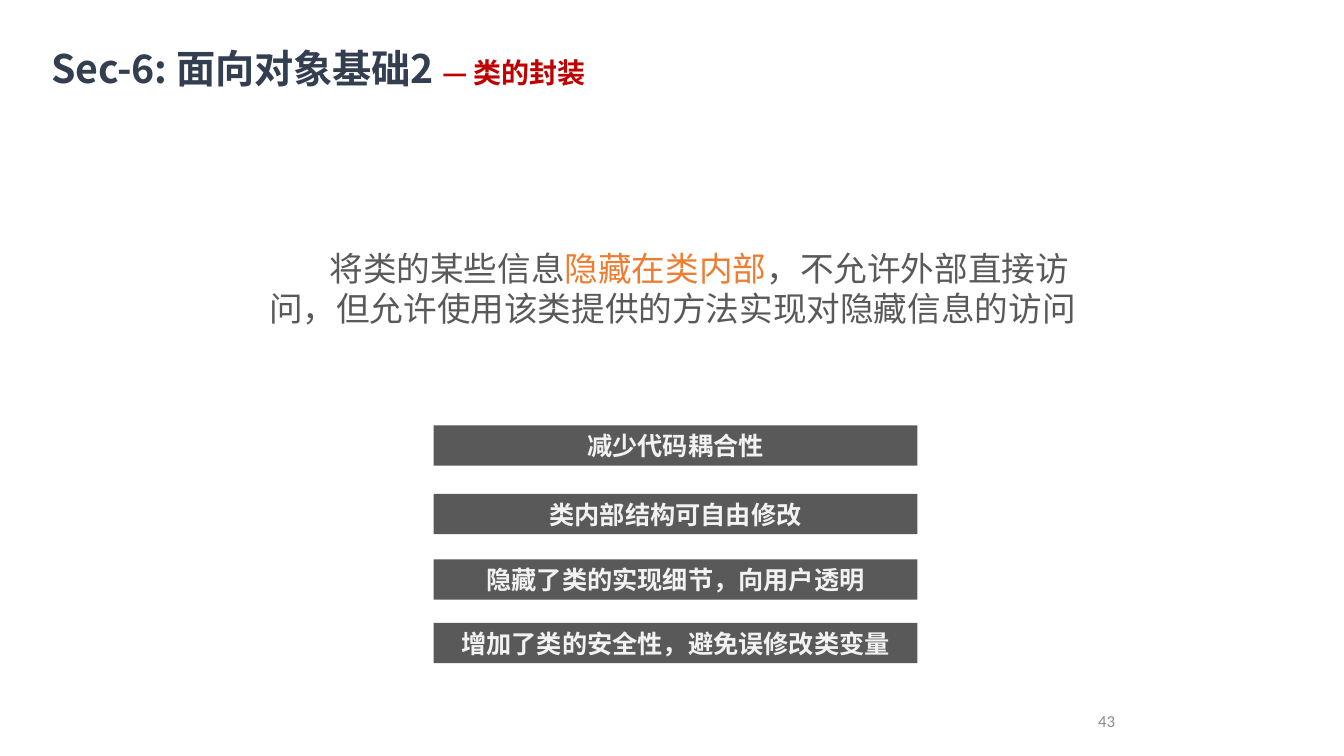
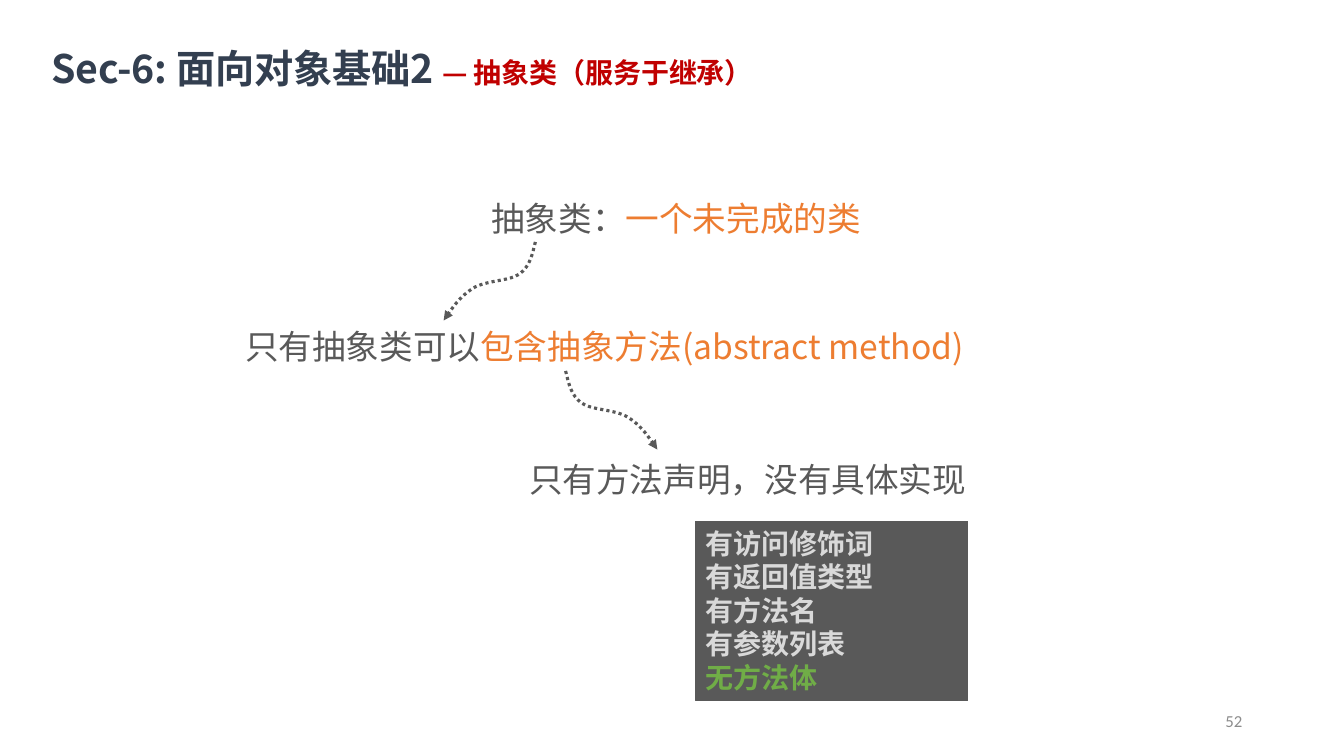
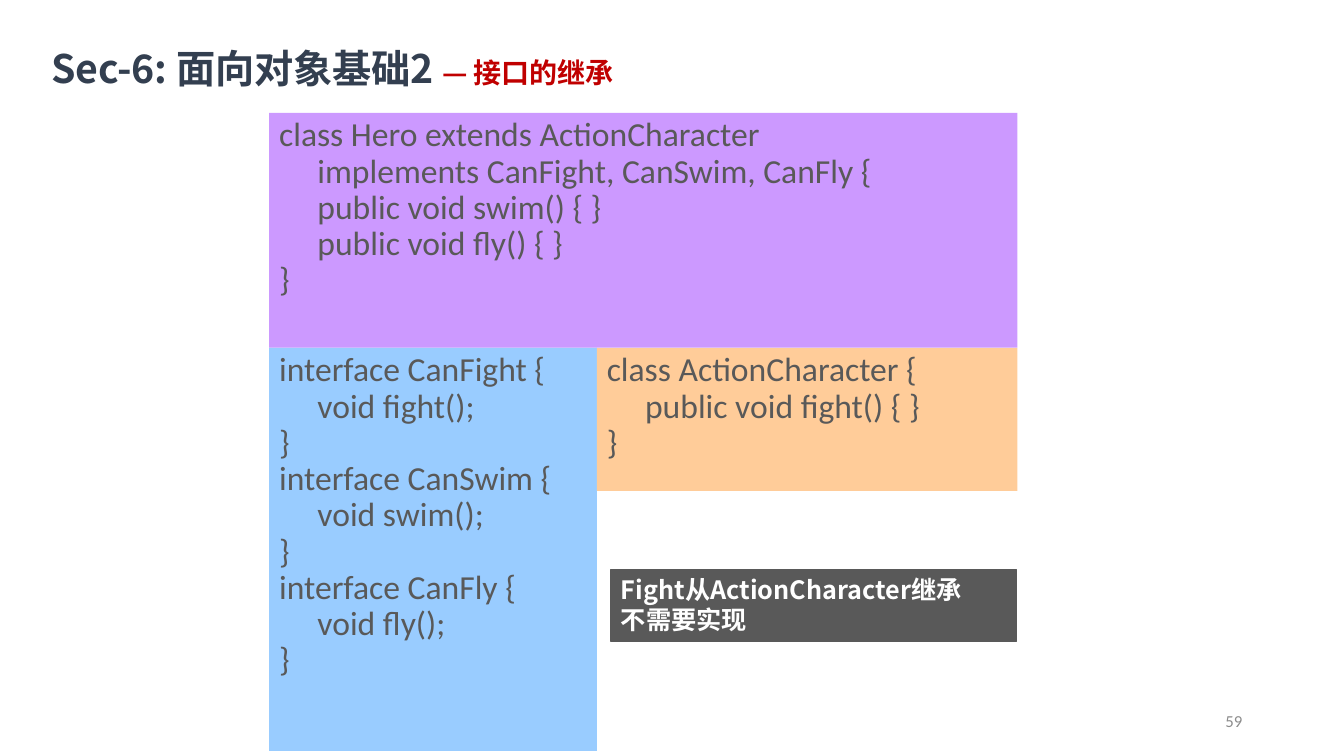
from dataclasses import dataclass

from lxml import etree
from pptx import Presentation
from pptx.dml.color import RGBColor
from pptx.enum import dml, shapes, text
from pptx.oxml.ns import qn
from pptx.util import Inches, Pt


@dataclass(frozen=True)
class Theme:
    cjk: str = "Noto Sans CJK SC"
    latin: str = "Calibri"
    title: str = "333F50"
    subtitle: str = "C00000"
    dark: str = "595959"
    accent: str = "ED7D31"
    green: str = "70AD47"
    pale: str = "F2F2F2"
    silver: str = "D9D9D9"
    white: str = "FFFFFF"
    muted: str = "8C8C8C"
    purple: str = "CC99FF"
    blue: str = "99CCFF"
    orange: str = "FFCC99"
    title_size: int = 28
    body_size: int = 24
    list_size: int = 20
    label_size: int = 18
    number_size: int = 12


THEME = Theme()


@dataclass(frozen=True)
class Box:
    left: float
    top: float
    width: float
    height: float

    def area(self, dx, dy, width, height):
        """Box of the given size, offset from this box's corner."""
        return Box(self.left + dx, self.top + dy, width, height)

    def lengths(self):
        return [Inches(v) for v in (self.left, self.top, self.width, self.height)]


PAGE = Box(0, 0, 13.33, 7.5)
ALIGN = text.PP_ALIGN


def format_run(run, size, color, font, bold=False, tracking=None):
    run.font.size = Pt(size)
    run.font.bold = bold
    run.font.name = font
    run.font.color.rgb = RGBColor.from_string(color)
    properties = run.font._element
    etree.SubElement(properties, qn("a:ea"), typeface=font)
    if tracking is not None:
        properties.set("spc", str(tracking))


def write(frame, lines, align=ALIGN.LEFT, anchor=text.MSO_ANCHOR.TOP,
          margin=0, indent=0, spacing=None, **style):
    """Fill a frame; a line is a string or a list of (string, style changes)."""
    style = {"size": THEME.body_size, "color": THEME.dark, "font": THEME.cjk} | style
    frame.word_wrap = True
    frame.vertical_anchor = anchor
    for index, line in enumerate(lines):
        paragraph = frame.add_paragraph() if index else frame.paragraphs[0]
        paragraph.alignment = align
        if spacing:
            paragraph.line_spacing = spacing
        if margin or indent:
            properties = paragraph._p.get_or_add_pPr()
            properties.set("marL", str(Inches(margin)))
            properties.set("indent", str(Inches(indent)))
        for content, changes in [(line, {})] if isinstance(line, str) else line:
            run = paragraph.add_run()
            run.text = content
            format_run(run, **(style | changes))


def add_label(slide, box, lines, **style):
    label = slide.shapes.add_textbox(*box.lengths())
    write(label.text_frame, lines, **style)
    return label


def add_panel(slide, box, fill, lines, outline=None, **style):
    panel = slide.shapes.add_shape(shapes.MSO_SHAPE.RECTANGLE, *box.lengths())
    panel.shadow.inherit = False
    panel.fill.solid()
    panel.fill.fore_color.rgb = RGBColor.from_string(fill)
    if outline:
        panel.line.color.rgb = RGBColor.from_string(outline)
        panel.line.width = Pt(0.75)
    else:
        panel.line.fill.background()
    write(panel.text_frame, lines, **style)


def add_code(slide, box, fill, code):
    add_panel(slide, box, fill, code, font=THEME.latin,
              margin=0.38, indent=-0.38, spacing=0.9)


def add_curved_arrow(slide, left, top, direction):
    """Dotted S-curve running down, to the right (1) or the left (-1)."""
    bends = [(0.03, 0.12), (0.05, 0.24), (0.16, 0.32),
             (0.26, 0.39), (0.49, 0.38), (0.62, 0.46),
             (0.74, 0.54), (0.83, 0.66), (0.91, 0.78)]
    points = [(Inches(left + direction * x), Inches(top + y)) for x, y in bends]
    builder = slide.shapes.build_freeform(Inches(left), Inches(top))
    builder.add_line_segments(points, close=False)
    arrow = builder.convert_to_shape()
    arrow.shadow.inherit = False
    arrow.fill.background()
    arrow.line.color.rgb = RGBColor.from_string(THEME.dark)
    arrow.line.width = Pt(2.25)
    arrow.line.dash_style = dml.MSO_LINE.ROUND_DOT
    etree.SubElement(arrow.line._get_or_add_ln(), qn("a:tailEnd"), type="triangle")

    outline = next(arrow._element.iter(qn("a:path")))
    segments = outline.findall(qn("a:lnTo"))
    for start in range(0, len(segments), 3):
        curve = etree.SubElement(outline, qn("a:cubicBezTo"))
        for segment in segments[start:start + 3]:
            curve.append(segment[0])
            outline.remove(segment)


def start_slide(deck, topic, number, number_right=12.42):
    """Blank slide with the shared title and page number."""
    slide = deck.slides.add_slide(deck.slide_layouts[6])
    heading = add_label(
        slide, PAGE.area(0.5, 0.42, 7.27, 0.48),
        [[("Sec-6: 面向对象基础2 ", {}),
          (f"— {topic}", {"size": THEME.list_size, "color": THEME.subtitle})]],
        size=THEME.title_size, color=THEME.title, bold=True, tracking=-10, margin=0.01)
    frame = heading.text_frame
    frame.margin_left = frame.margin_right = frame.margin_bottom = 0
    frame.margin_top = Inches(0.02)
    add_label(slide, PAGE.area(number_right - 3, 6.95, 3, 0.4), [str(number)],
              align=ALIGN.RIGHT, anchor=text.MSO_ANCHOR.MIDDLE,
              size=THEME.number_size, color=THEME.muted, font=THEME.latin)
    return slide


def add_definition(slide, box):
    add_label(slide, box, [[
        ("将类的某些信息", {}),
        ("隐藏在类内部", {"color": THEME.accent}),
        ("，不允许外部直接访问，但允许使用该类提供的方法实现对隐藏信息的访问", {}),
    ]], indent=0.6)


def add_benefits(slide, box):
    benefits = [(0, "减少代码耦合性"),
                (0.68, "类内部结构可自由修改"),
                (1.33, "隐藏了类的实现细节，向用户透明"),
                (1.96, "增加了类的安全性，避免误修改类变量")]
    for offset, benefit in benefits:
        add_panel(slide, box.area(0, offset, box.width, 0.4), THEME.dark, [benefit],
                  align=ALIGN.CENTER, size=THEME.label_size, color=THEME.pale, bold=True)


def add_concept_chain(slide, box):
    accent = {"color": THEME.accent}
    statements = [
        (1.42, 0, 6.85, [("抽象类：", {}), ("一个未完成的类", accent)]),
        (0, 1.27, 8.27, [("只有抽象类可以", {}),
                         ("包含抽象方法(abstract method)", accent)]),
        (1.42, 2.59, 8.27, "只有方法声明，没有具体实现"),
    ]
    for dx, dy, width, statement in statements:
        add_label(slide, box.area(dx, dy, width, 0.5), [statement], align=ALIGN.CENTER)
    add_curved_arrow(slide, box.left + 3.45, box.top + 0.49, -1)
    add_curved_arrow(slide, box.left + 3.75, box.top + 1.77, 1)


def add_method_traits(slide, box):
    add_panel(slide, box, THEME.dark,
              ["有访问修饰词", "有返回值类型", "有方法名", "有参数列表",
               [("无方法体", {"color": THEME.green})]],
              outline=THEME.dark, size=THEME.list_size, color=THEME.silver, bold=True)


def add_code_panels(slide, box):
    """Class on top, its interfaces at lower left, its parent at lower right."""
    hero_height, interface_width = 2.33, 3.25
    interfaces = []
    for ability in ("Fight", "Swim", "Fly"):
        interfaces += [f"interface Can{ability} {{", f"\tvoid {ability.lower()}();", "}"]
    add_code(slide, box.area(0, hero_height, interface_width, box.height - hero_height),
             THEME.blue, interfaces)
    add_code(slide, box.area(interface_width, hero_height,
                             box.width - interface_width, 1.42),
             THEME.orange,
             ["class ActionCharacter {", "\tpublic void fight() { }", "}"])
    add_code(slide, box.area(0, 0, box.width, hero_height), THEME.purple,
             ["class Hero extends ActionCharacter",
              "\timplements CanFight, CanSwim, CanFly {",
              "\tpublic void swim() { }", "\tpublic void fly() { }", "}"])


def add_inheritance_note(slide, box):
    add_panel(slide, box, THEME.dark, ["Fight从ActionCharacter继承", "不需要实现"],
              outline=THEME.dark, size=THEME.label_size, color=THEME.white, bold=True)


def main():
    deck = Presentation()
    deck.slide_width, deck.slide_height = Inches(PAGE.width), Inches(PAGE.height)

    encapsulation = start_slide(deck, "类的封装", 43, number_right=11.16)
    add_definition(encapsulation, PAGE.area(2.57, 2.41, 8.43, 0.91))
    add_benefits(encapsulation, PAGE.area(4.3, 4.22, 4.8, 2.36))

    abstraction = start_slide(deck, "抽象类（服务于继承）", 52)
    add_concept_chain(abstraction, PAGE.area(1.86, 1.91, 9.69, 3.09))
    add_method_traits(abstraction, PAGE.area(6.9, 5.17, 2.7, 1.78))

    inheritance = start_slide(deck, "接口的继承", 59)
    add_code_panels(inheritance, PAGE.area(2.67, 1.12, 7.42, 6.33))
    add_inheritance_note(inheritance, PAGE.area(6.06, 5.65, 4.02, 0.71))

    deck.save("out.pptx")


if __name__ == "__main__":
    main()
